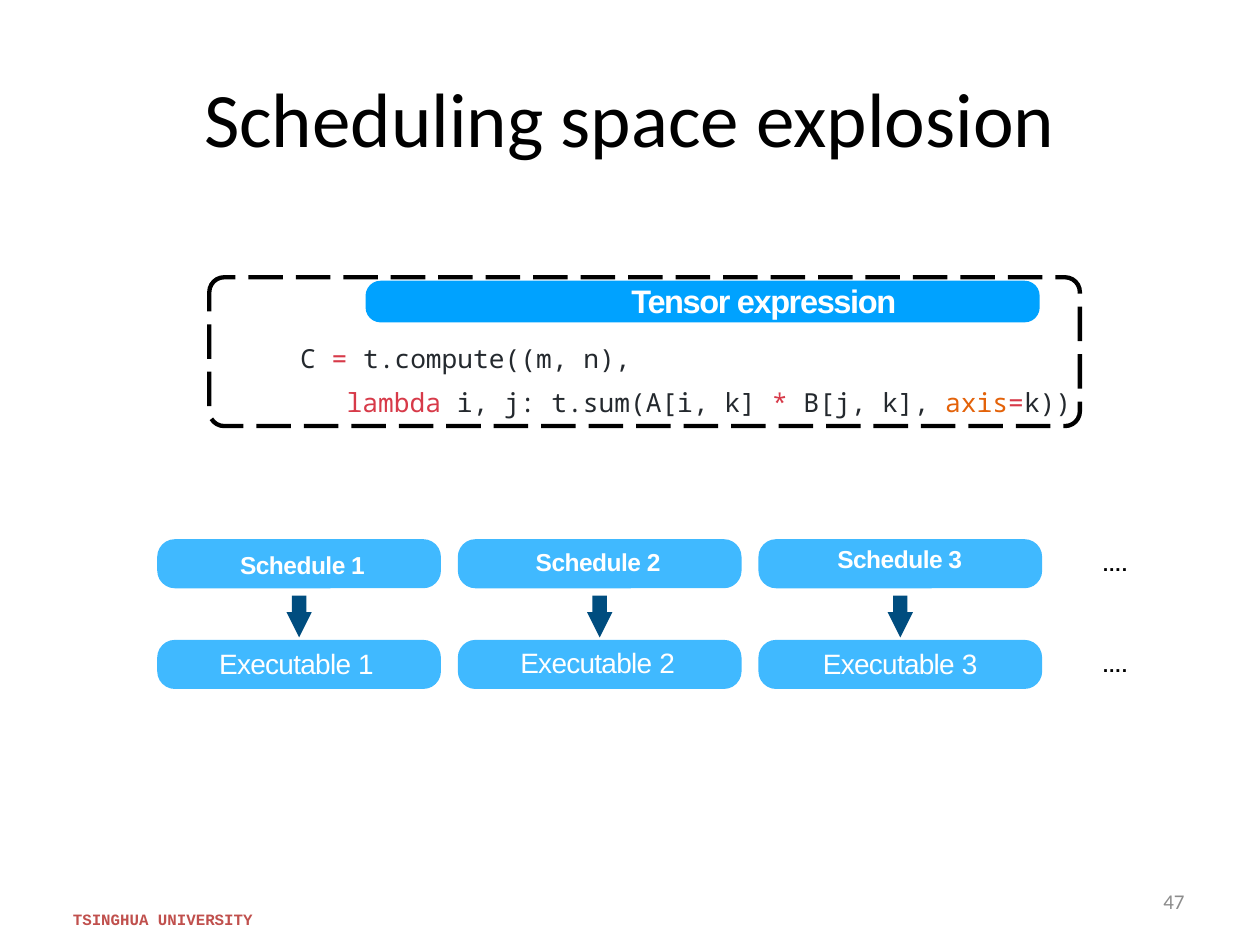
import dataclasses

import pptx
import pptx.dml.color
import pptx.enum.dml
import pptx.enum.shapes
import pptx.enum.text
import pptx.util

Cm = pptx.util.Cm
Pt = pptx.util.Pt
SHAPE = pptx.enum.shapes.MSO_SHAPE
ALIGN = pptx.enum.text.PP_ALIGN
ANCHOR = pptx.enum.text.MSO_ANCHOR


def rgb(value):
    return pptx.dml.color.RGBColor.from_string(value)


@dataclasses.dataclass(frozen=True)
class Theme:
    black: str = "000000"
    white: str = "FFFFFF"
    muted: str = "8C8C8C"
    footer: str = "C0504D"
    banner: str = "00A2FF"
    block: str = "40B9FF"
    arrow: str = "004D7F"
    code: str = "24292E"
    keyword: str = "D73A49"
    argument: str = "E36209"
    heading: str = "Calibri"
    body: str = "Arial"
    mono: str = "Noto Sans Mono"
    typewriter: str = "Courier New"
    title_size: float = 44
    banner_size: float = 18.6
    executable_size: float = 16
    code_size: float = 15
    schedule_size: float = 14
    number_size: float = 12
    dots_size: float = 11.1
    footer_size: float = 9


class Slide:
    def __init__(self, deck, theme):
        self.theme = theme
        self.page = deck.slides.add_slide(deck.slide_layouts[6])

    def shape(self, kind, place, adjustments, fill=None):
        shape = self.page.shapes.add_shape(kind, *map(Cm, place))
        shape.shadow.inherit = False
        for index, value in enumerate(adjustments):
            shape.adjustments[index] = value
        if fill:
            shape.fill.solid()
            shape.fill.fore_color.rgb = rgb(fill)
        else:
            shape.fill.background()
        shape.line.fill.background()
        return shape

    def block(self, place, fill):
        return self.shape(SHAPE.ROUNDED_RECTANGLE, place, [0.36], fill)

    def dashed_panel(self, place):
        panel = self.shape(SHAPE.ROUNDED_RECTANGLE, place, [0.1])
        panel.line.color.rgb = rgb(self.theme.black)
        panel.line.width = Pt(2.47)
        panel.line.dash_style = pptx.enum.dml.MSO_LINE.LONG_DASH

    def down_arrow(self, place):
        self.shape(SHAPE.DOWN_ARROW, place, [0.57, 1], self.theme.arrow)

    def box(self, place, tight=True, wrap=False, anchor=ANCHOR.TOP):
        frame = self.page.shapes.add_textbox(*map(Cm, place)).text_frame
        layout = {"word_wrap": wrap, "vertical_anchor": anchor}
        if tight:
            layout.update(margin_left=0, margin_top=Cm(0.03), margin_right=0, margin_bottom=0)
        for name, value in layout.items():
            setattr(frame, name, value)
        return frame

    def para(self, frame, spans, indent=0, before=None, align=ALIGN.LEFT, **style):
        """Fill the empty first paragraph, or add one; spans are (text, changes)."""
        first = frame.paragraphs[0]
        para = frame.add_paragraph() if first.runs else first
        para.alignment = align
        if before:
            para.space_before = Pt(before)
        if indent:
            para._p.get_or_add_pPr().set("marL", str(Cm(indent)))
        for text, changes in spans:
            self.span(para, text, **{**style, **changes})

    def span(self, para, text, color, size, name, bold=False, spacing=0):
        span = para.add_run()
        span.text = text
        for key, value in {"size": Pt(size), "name": name, "bold": bold}.items():
            setattr(span.font, key, value)
        span.font.color.rgb = rgb(color)
        if spacing:
            span._r.get_or_add_rPr().set("spc", str(round(spacing * 100)))

    def label(self, place, text, tail=None, **style):
        spans = [(text, {})]
        if tail:
            spans.append((tail, {"spacing": 0}))
        self.para(self.box(place), spans, **style)

    def framed_text(self, place, text, align=ALIGN.LEFT, **style):
        frame = self.box(place, tight=False, wrap=True, anchor=ANCHOR.MIDDLE)
        self.para(frame, [(text, {})], align=align, **style)


def main():
    theme = Theme()
    deck = pptx.Presentation()
    deck.slide_width, deck.slide_height = Cm(25.4), Cm(19.05)
    slide = Slide(deck, theme)

    # Title, page number and footer
    slide.framed_text((1.27, 0.76, 22.86, 3.18), "Scheduling space explosion", ALIGN.CENTER,
                      color=theme.black, size=theme.title_size, name=theme.heading)
    slide.framed_text((18.21, 17.65, 5.92, 1.02), "47", ALIGN.RIGHT,
                      color=theme.muted, size=theme.number_size, name=theme.heading)
    slide.framed_text((1.22, 18.16, 18.9, 0.74), "TSINGHUA UNIVERSITY", color=theme.footer,
                      size=theme.footer_size, name=theme.typewriter, bold=True)

    # Tensor expression with its code
    slide.block((7.37, 5.66, 13.59, 0.84), theme.banner)
    expression = slide.box((6.02, 5.64, 15.65, 2.77), wrap=True)
    slide.para(expression, [("Tensor expression", {})], indent=6.71, color=theme.white,
               size=theme.banner_size, name=theme.body, bold=True, spacing=-0.8)
    code = {"color": theme.code, "size": theme.code_size, "name": theme.mono}
    keyword, argument = {"color": theme.keyword}, {"color": theme.argument}
    slide.para(expression, [("C ", {}), ("= ", keyword), ("t.compute((m, n),", {})],
               indent=0.03, before=12.4, **code)
    slide.para(expression, [("lambda ", keyword), ("i, j: t.sum(A[i, k] ", {}),
                            ("* ", keyword), ("B[j, k], ", {}), ("axis", argument),
                            ("=", keyword), ("k))", {})],
               indent=0.97, before=7.5, **code)
    slide.dashed_panel((4.22, 5.59, 17.55, 3))

    # Schedules, each compiled to an executable
    left, pitch, width, height = 3.17, 6.06, 5.72, 0.99
    schedule_top, executable_top = 10.87, 12.9
    arrow_width = 0.51
    schedule = {"color": theme.white, "size": theme.schedule_size, "name": theme.body,
                "bold": True, "spacing": -0.3}
    executable = {"color": theme.white, "size": theme.executable_size, "name": theme.body,
                  "spacing": -0.4}
    # Label offsets within the blocks: schedule x, y, then executable x, y
    offsets = [(1.67, 0.18, 1.25, 0.1), (1.57, 0.13, 1.26, 0.08), (1.59, 0.06, 1.3, 0.1)]
    for index, (schedule_x, schedule_y, executable_x, executable_y) in enumerate(offsets):
        x = left + index * pitch
        number = str(index + 1)
        for top in (schedule_top, executable_top):
            slide.block((x, top, width, height), theme.block)
        slide.down_arrow((x + (width - arrow_width) / 2, 12.01, arrow_width, 0.84))
        slide.label((x + schedule_x, schedule_top + schedule_y, 2.9, 0.65),
                    "Schedule " + number, **schedule)
        slide.label((x + executable_x, executable_top + executable_y, 3.4, 0.71),
                    "Executable ", number, **executable)

    # Continuation dots
    for top in (schedule_top, executable_top):
        slide.label((22.22, top + 0.23, 0.53, 0.51), "….", color=theme.black,
                    size=theme.dots_size, name=theme.body, bold=True, spacing=0.1)

    deck.save("out.pptx")


if __name__ == "__main__":
    main()
